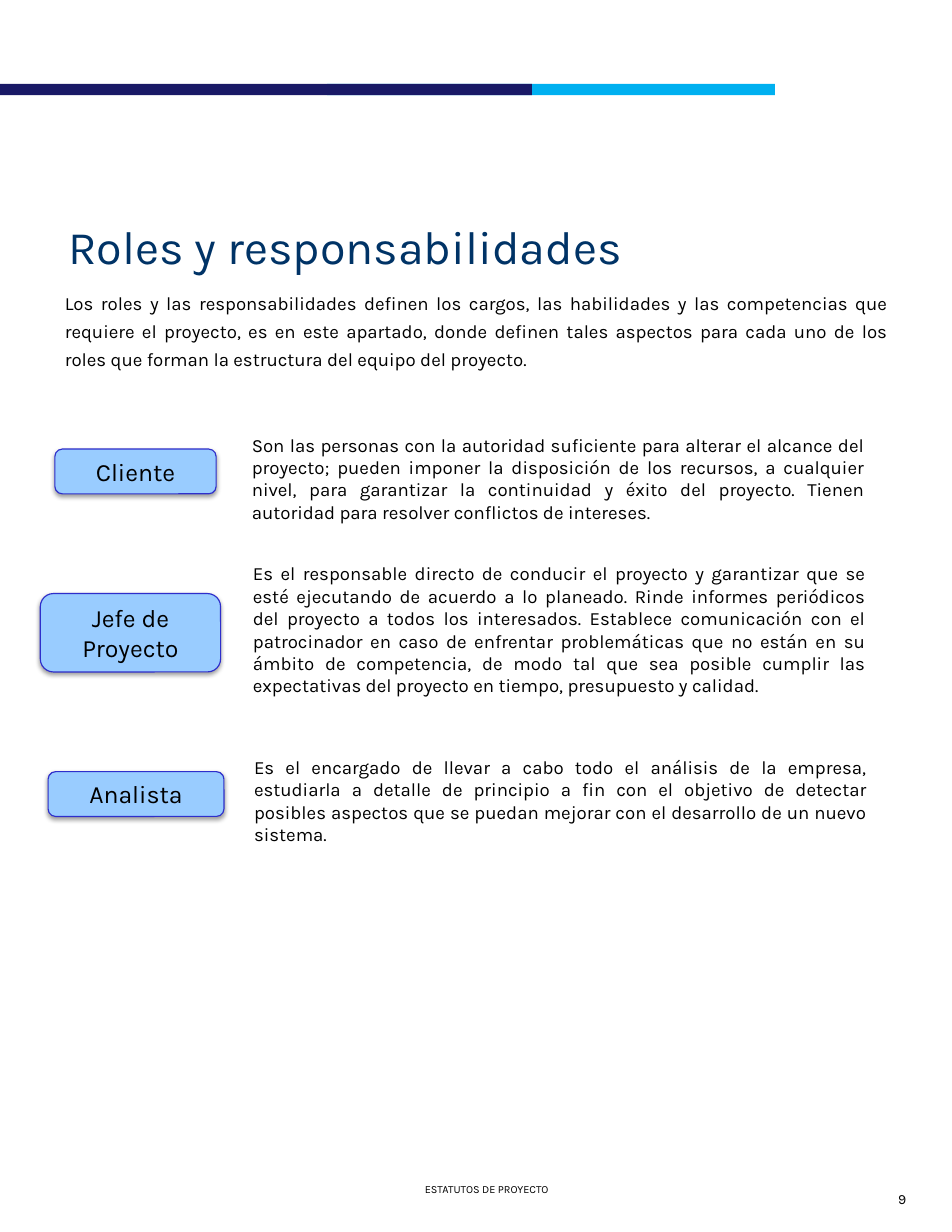
from lxml.etree import SubElement
from pptx import Presentation
from pptx.dml.color import RGBColor
from pptx.enum.shapes import MSO_SHAPE
from pptx.enum.text import MSO_ANCHOR, MSO_AUTO_SIZE, PP_ALIGN
from pptx.oxml.ns import qn
from pptx.util import Inches, Pt

color = RGBColor.from_string

deck = Presentation()
deck.slide_width, deck.slide_height = Inches(8.5), Inches(11)
COLUMN = deck.slide_width / 85
ROW = deck.slide_height / 110


def cells(left, top, width, height):
    """Turn a position in columns and rows into slide lengths."""
    return [round(left * COLUMN), round(top * ROW), round(width * COLUMN), round(height * ROW)]


def write(shape, text, size, align, ink="000000"):
    frame = shape.text_frame
    frame.word_wrap = True
    frame.auto_size = MSO_AUTO_SIZE.NONE
    frame.text = text
    paragraph = frame.paragraphs[0]
    paragraph.alignment = align
    paragraph.font.name = "Karla"
    paragraph.font.size = Pt(size)
    paragraph.font.color.rgb = color(ink)
    return paragraph


slide = deck.slides.add_slide(deck.slide_layouts[5])
shapes = slide.shapes

# Header band: the dark part overlaps the light one
for left, width, fill in [(29.2, 40, "00B0F0"), (0, 47.5, "191966")]:
    band = shapes.add_shape(MSO_SHAPE.RECTANGLE, *cells(left, 7.5, width, 1))
    band.shadow.inherit = False
    band.fill.solid()
    band.fill.fore_color.rgb = color(fill)
    band.line.fill.background()

title = shapes.title
title.left, title.top, title.width, title.height = cells(5.1, 15.8, 75.8, 9.2)
heading = write(title, "Roles y responsabilidades", 30, PP_ALIGN.LEFT, "003366")
heading.line_spacing = 0.9
title.text_frame.vertical_anchor = MSO_ANCHOR.BOTTOM

intro = write(
    shapes.add_textbox(*cells(4.8, 25.1, 75.5, 8.4)),
    "Los roles y las responsabilidades definen los cargos, las habilidades y las competencias que "
    "requiere el proyecto, es en este apartado, donde definen tales aspectos para cada uno de los "
    "roles que forman la estructura del equipo del proyecto.",
    12, PP_ALIGN.JUSTIFY)
intro.line_spacing = 1.25

# Role, its label cells, its description's left, top and height, description
roles = [
    ("Cliente", (4.9, 40.1, 14.4, 4), (21.5, 38.2, 9.1),
     "Son las personas con la autoridad suficiente para alterar el alcance del proyecto; pueden "
     "imponer la disposición de los recursos, a cualquier nivel, para garantizar la continuidad y "
     "éxito del proyecto. Tienen autoridad para resolver conflictos de intereses."),
    ("Jefe de Proyecto", (3.6, 53, 16.1, 7), (21.6, 49.7, 13.1),
     "Es el responsable directo de conducir el proyecto y garantizar que se esté ejecutando de "
     "acuerdo a lo planeado. Rinde informes periódicos del proyecto a todos los interesados. "
     "Establece comunicación con el patrocinador en caso de enfrentar problemáticas que no están "
     "en su ámbito de competencia, de modo tal que sea posible cumplir las expectativas del "
     "proyecto en tiempo, presupuesto y calidad."),
    ("Analista", (4.3, 68.9, 15.7, 4), (21.7, 67, 9.1),
     "Es el encargado de llevar a cabo todo el análisis de la empresa, estudiarla a detalle de "
     "principio a fin con el objetivo de detectar posibles aspectos que se puedan mejorar con el "
     "desarrollo de un nuevo sistema."),
]
for role, label_cells, (left, top, height), description in roles:
    write(shapes.add_textbox(*cells(left, top, 56.7, height)), description, 12, PP_ALIGN.JUSTIFY)

    label = shapes.add_shape(MSO_SHAPE.ROUNDED_RECTANGLE, *cells(*label_cells))
    label.fill.solid()
    label.fill.fore_color.rgb = color("99CCFF")
    label.line.color.rgb = color("2E2ECB")
    label.line.width = Pt(0.75)
    write(label, role, 16, PP_ALIGN.CENTER)
    label.text_frame.vertical_anchor = MSO_ANCHOR.MIDDLE

    label.shadow.inherit = False
    effects = label.fill._xPr.find(qn("a:effectLst"))
    shadow = SubElement(effects, qn("a:outerShdw"), blurRad=str(Pt(3.1)), dist=str(Pt(1.6)),
                        dir="5400000", rotWithShape="0")
    shade = SubElement(shadow, qn("a:srgbClr"), val="000000")
    SubElement(shade, qn("a:alpha"), val="38000")

write(shapes.add_textbox(*cells(28.8, 105.1, 29.3, 2.2)), "ESTATUTOS DE PROYECTO", 7, PP_ALIGN.CENTER)
write(shapes.add_textbox(*cells(76.9, 105.8, 5, 2.5)), "9", 9, PP_ALIGN.RIGHT)

deck.save("out.pptx")
